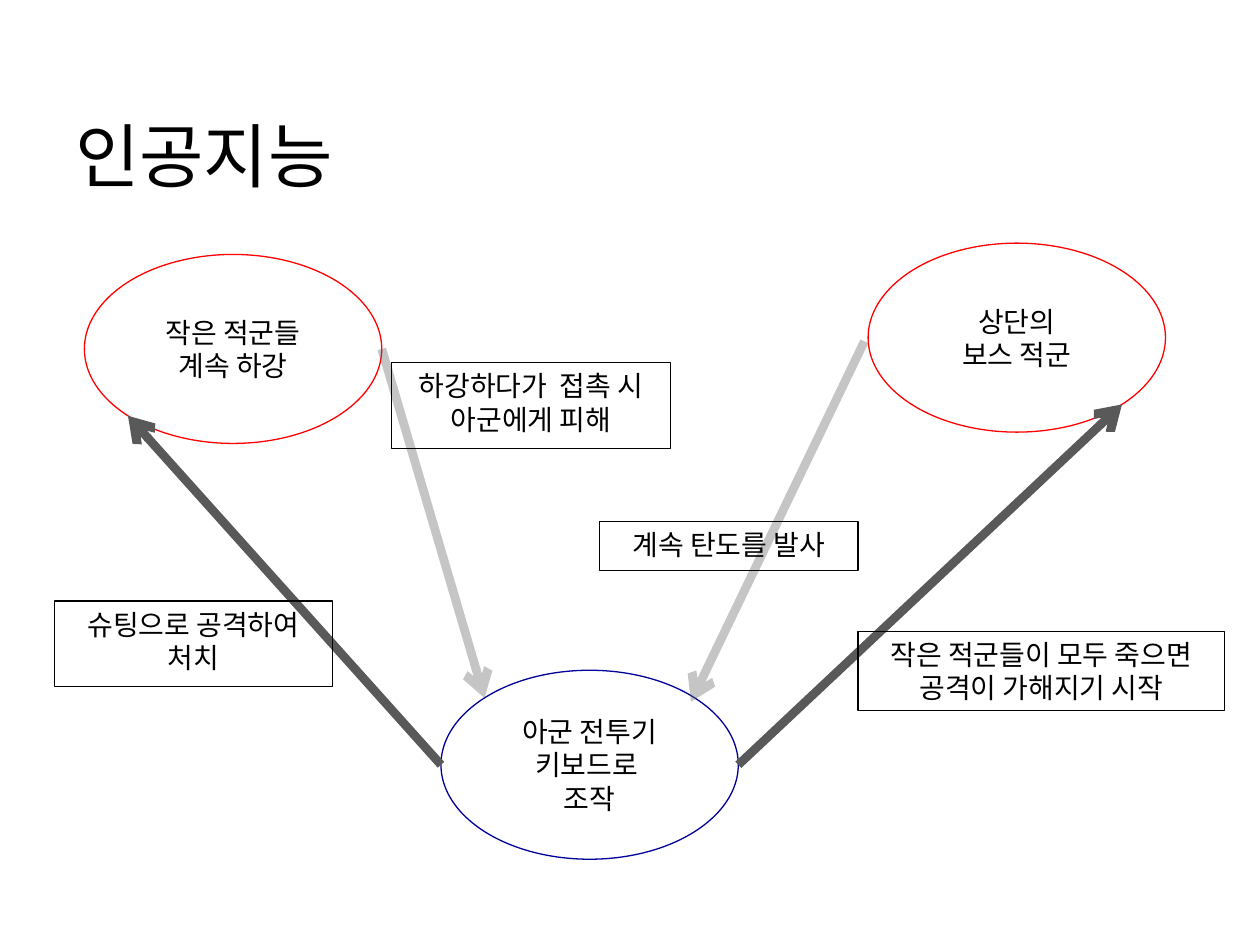
from math import cos, radians, sin

from lxml.etree import SubElement
from pptx import Presentation
from pptx.dml.color import RGBColor
from pptx.enum.shapes import MSO_CONNECTOR, MSO_SHAPE
from pptx.enum.text import MSO_ANCHOR, PP_ALIGN
from pptx.oxml.ns import qn
from pptx.util import Inches, Pt

# Content: all places and sizes are percentages of the slide's width and height
FONT = "Noto Sans CJK KR"
COLORS = {"text": "000000", "fill": "FFFFFF", "enemy": "FF0000",
          "ally": "000099", "arrow": "595959", "frame": "000000"}
TITLE = ("인공지능", (5, 11.2, 90, 9.47))
UNIT_SIZE = (23.6, 20)
UNITS = {  # name: (centre, outline, lines)
    "boss": ((80.7, 35.73), "enemy", ["상단의", "보스 적군"]),
    "minions": ((18.5, 36.93), "enemy", ["작은 적군들", "계속 하강"]),
    "fighter": ((46.8, 80.93), "ally", ["아군 전투기", "키보드로 ", "조작"]),
}
# (from unit, angle), (to unit, angle), arrowhead, opacity, shift
ARROWS = [
    (("fighter", 180), ("minions", 135), "tailEnd", 100, (0, 0)),
    (("minions", 0), ("fighter", 225), "tailEnd", 35, (0, 0)),
    (("fighter", 0), ("boss", 45), "tailEnd", 100, (0, 0)),
    (("fighter", 315), ("boss", 180), "headEnd", 35, (-0.3, 0.4)),
]
LABELS = [
    ((68.1, 66.8, 29.1, 8.4), ["작은 적군들이 모두 죽으면 공격이 가해지기 시작"]),
    ((47.6, 55.2, 20.5, 5.2), ["계속 탄도를 발사"]),
    ((31.1, 38.4, 22.1, 9.07), ["하강하다가  접촉 시 아군에게 피해"]),
    ((4.3, 63.6, 22.1, 9.07), ["슈팅으로 공격하여", "처치"]),
]
TITLE_FORMAT = {"size": Pt(40), "name": FONT}
BODY_FORMAT = {"size": Pt(16), "name": FONT}

presentation = Presentation()
presentation.slide_width, presentation.slide_height = Inches(10), Inches(7.5)
slide = presentation.slides.add_slide(presentation.slide_layouts[6])


def place(*percentages):
    """Turn alternating horizontal and vertical percentages into lengths."""
    sides = (presentation.slide_width, presentation.slide_height)
    return [round(sides[i % 2] * value / 100) for i, value in enumerate(percentages)]


def color(name):
    return RGBColor.from_string(COLORS[name])


def write(shape, lines, font_format, alignment, anchor):
    frame = shape.text_frame
    frame.word_wrap = True
    frame.vertical_anchor = anchor
    for index, line in enumerate(lines):
        paragraph = frame.add_paragraph() if index else frame.paragraphs[0]
        paragraph.alignment = alignment
        run = paragraph.add_run()
        run.text = line
        for attribute, value in font_format.items():
            setattr(run.font, attribute, value)
        run.font.color.rgb = color("text")
        SubElement(run.font._element, qn("a:ea"), typeface=FONT)


def add_box(kind, box, outline, lines, anchor, filled):
    shape = slide.shapes.add_shape(kind, *place(*box))
    shape.shadow.inherit = False
    if filled:
        shape.fill.solid()
        shape.fill.fore_color.rgb = color("fill")
    else:
        shape.fill.background()
    shape.line.color.rgb = color(outline)
    shape.line.width = Pt(0.75)
    write(shape, lines, BODY_FORMAT, PP_ALIGN.CENTER, anchor)


def rim_point(unit, angle, shift):
    """Point on a unit's ellipse, clockwise from its right side."""
    directions = (cos(radians(angle)), sin(radians(angle)))
    return [centre + size / 2 * direction + offset for centre, size, direction, offset
            in zip(UNITS[unit][0], UNIT_SIZE, directions, shift)]


def add_arrow(start, end, arrowhead, opacity, shift):
    points = rim_point(*start, shift) + rim_point(*end, shift)
    connector = slide.shapes.add_connector(MSO_CONNECTOR.STRAIGHT, *place(*points))
    connector.line.color.rgb = color("arrow")
    connector.line.width = Pt(5)
    properties = connector._element.spPr
    line = properties.find(qn("a:ln"))
    if opacity < 100:
        SubElement(line.find(".//" + qn("a:srgbClr")), qn("a:alpha"), val=str(opacity * 1000))
    SubElement(line, qn(f"a:{arrowhead}"), type="arrow")
    SubElement(properties, qn("a:effectLst"))


# Title
title_text, title_box = TITLE
title = slide.shapes.add_textbox(*place(*title_box))
write(title, [title_text], TITLE_FORMAT, PP_ALIGN.LEFT, MSO_ANCHOR.TOP)

# Units
for centre, outline, lines in UNITS.values():
    corner = [middle - size / 2 for middle, size in zip(centre, UNIT_SIZE)]
    add_box(MSO_SHAPE.OVAL, (*corner, *UNIT_SIZE), outline, lines, MSO_ANCHOR.MIDDLE, True)

# Arrows between the units
for arrow in ARROWS:
    add_arrow(*arrow)

# Labels on the arrows
for box, lines in LABELS:
    add_box(MSO_SHAPE.RECTANGLE, box, "frame", lines, MSO_ANCHOR.TOP, False)

presentation.save("out.pptx")
